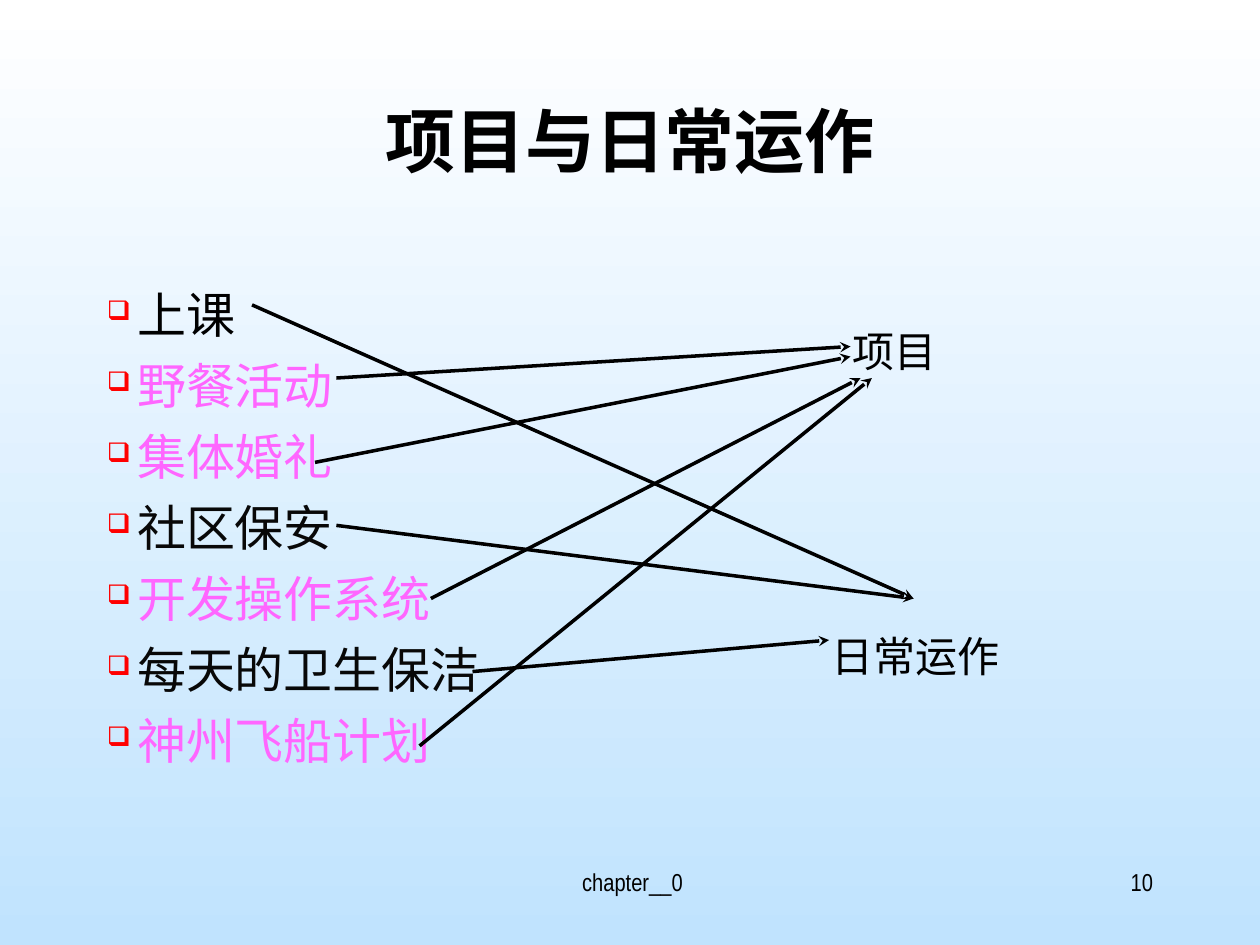
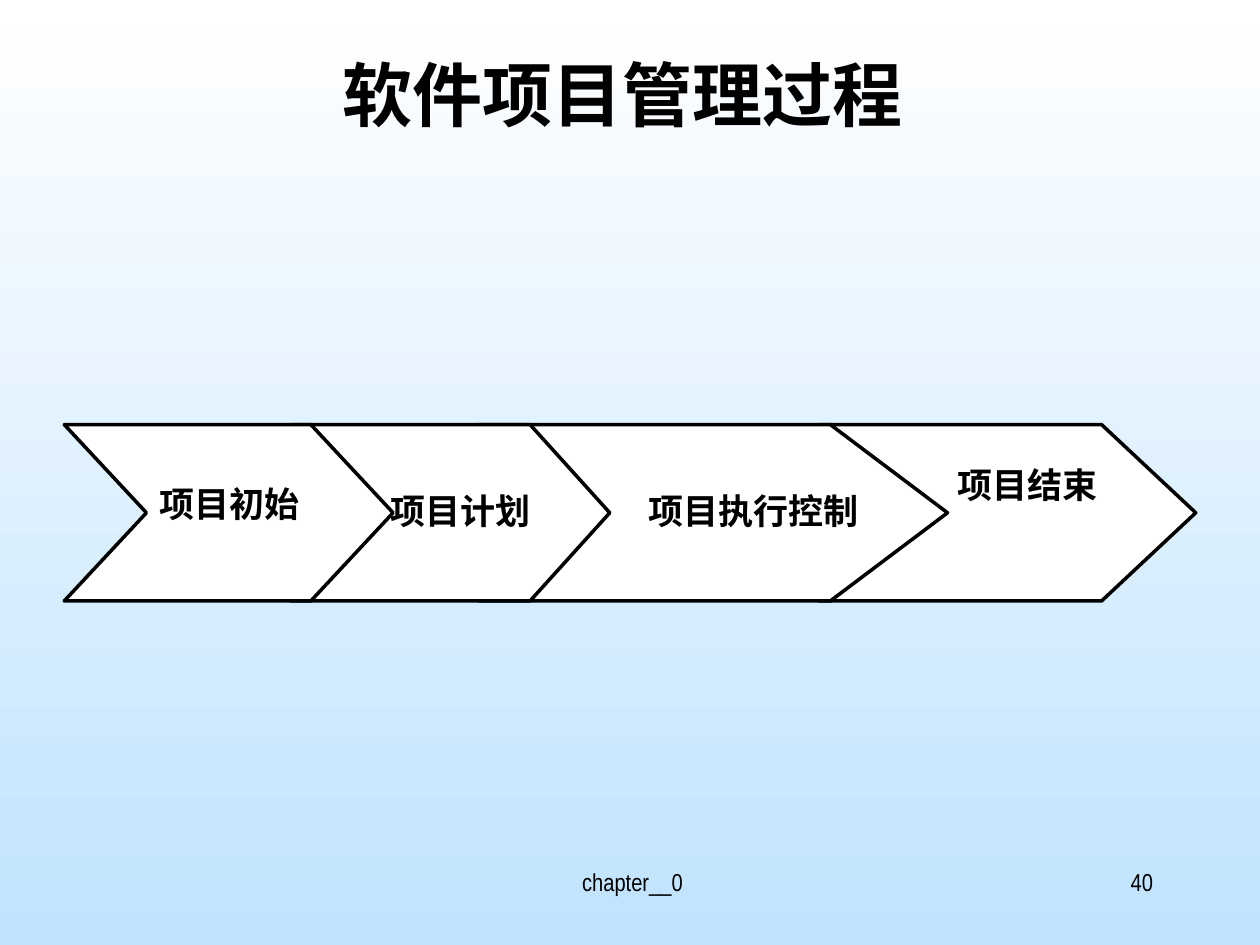
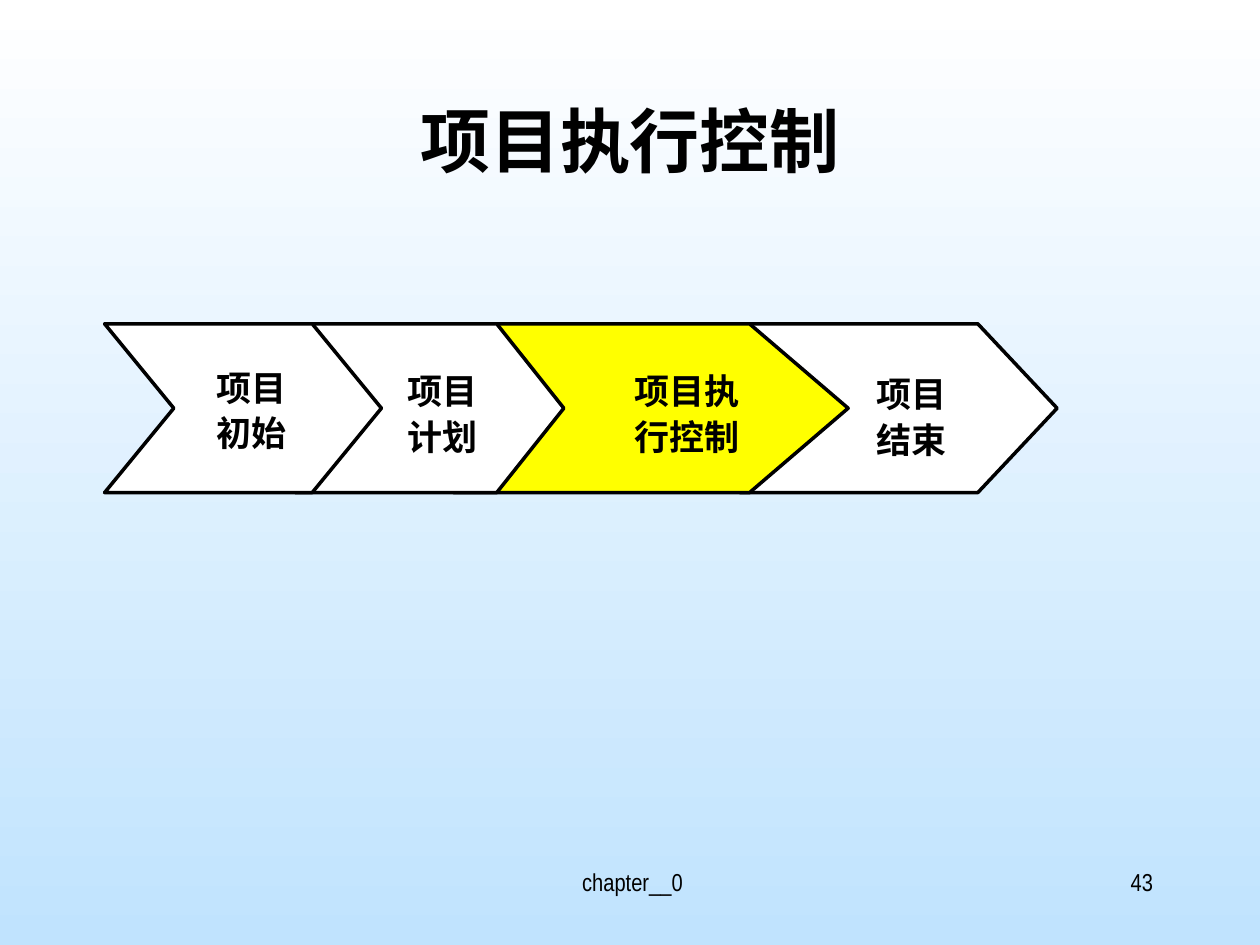
from collections import namedtuple
from dataclasses import dataclass

from lxml import etree
from pptx import Presentation
from pptx import util as u
from pptx.dml.color import RGBColor
from pptx.enum import shapes, text
from pptx.oxml.ns import qn

Box = namedtuple("Box", "x y w h")
Stage = namedtuple("Stage", "x w")


@dataclass(frozen=True)
class Theme:
    ink: str = "000000"
    soft_ink: str = "080808"
    pink: str = "FF66FF"
    red: str = "FF0000"
    white: str = "FFFFFF"
    sky: str = "C0E3FE"
    yellow: str = "FFFF00"
    latin: str = "Arial Narrow"
    cjk: str = "Noto Sans CJK SC"
    title: int = 40
    body: int = 28
    target: int = 24
    stage: int = 20
    footer: int = 14
    leading: float = 1.3
    line: int = 2


T = Theme()
FOOTER = Box(3.42, 6.83, 3.2, 0.5)
NUMBER = Box(7.17, 6.83, 2.08, 0.5)
TITLE = Box(0.75, 0.67, 8.5, 1.25)
PROCESS_WIDTH = 8.98
STAGES = [Stage(0, 2.61), Stage(1.8, 2.53), Stage(3.29, 3.72), Stage(5.99, 2.99)]


def rgb(color):
    return RGBColor.from_string(color)


def inches(box):
    return [u.Inches(v) for v in box]


def add_run(p, words, size, color=T.ink, bold=False, latin=T.latin):
    r = p.add_run()
    r.text = words
    r.font.size = u.Pt(size)
    r.font.bold = bold
    r.font.name = latin
    r.font.color.rgb = rgb(color)
    etree.SubElement(r.font._element, qn("a:ea"), typeface=T.cjk)


def set_leading(p, size):
    p.line_spacing = u.Pt(round(size * T.leading, 1))


def add_text(s, box, words, size, align=text.PP_ALIGN.LEFT):
    tf = s.shapes.add_textbox(*inches(box)).text_frame
    tf.word_wrap = True
    p = tf.paragraphs[0]
    p.alignment = align
    add_run(p, words, size)
    return p


def add_bullet(p):
    pPr = p._p.get_or_add_pPr()
    pPr.set("marL", str(u.Inches(0.24)))
    pPr.set("indent", str(u.Inches(-0.24)))
    color = etree.SubElement(pPr, qn("a:buClr"))
    etree.SubElement(color, qn("a:srgbClr"), val=T.red)
    etree.SubElement(pPr, qn("a:buSzPct"), val="55000")
    etree.SubElement(pPr, qn("a:buChar"), char="❑")


def add_list(s, box, items):
    tf = s.shapes.add_textbox(*inches(box)).text_frame
    tf.word_wrap = True
    for i, (words, color) in enumerate(items):
        p = tf.add_paragraph() if i else tf.paragraphs[0]
        add_bullet(p)
        set_leading(p, T.body)
        if i:
            p.space_before = u.Pt(4.2)
        add_run(p, words, T.body, color, latin=T.cjk)


def add_arrow(s, start, end):
    sp = s.shapes.add_connector(shapes.MSO_CONNECTOR.STRAIGHT, *inches(start + end))
    sp.line.color.rgb = rgb(T.ink)
    sp.line.width = u.Pt(T.line)
    spPr = sp._element.spPr
    etree.SubElement(spPr.find(qn("a:ln")), qn("a:tailEnd"), type="stealth")
    etree.SubElement(spPr, qn("a:effectLst"))


def add_stage(s, box, lines, shift, fill):
    sp = s.shapes.add_shape(shapes.MSO_SHAPE.CHEVRON, *inches(box))
    sp.adjustments[0] = 0.25 * box.w / box.h
    sp.shadow.inherit = False
    sp.fill.solid()
    sp.fill.fore_color.rgb = rgb(fill)
    sp.line.color.rgb = rgb(T.ink)
    sp.line.width = u.Pt(T.line)
    tf = sp.text_frame
    tf.word_wrap = False
    tf.vertical_anchor = text.MSO_ANCHOR.MIDDLE
    dx, dy = shift
    tf.margin_left, tf.margin_right = u.Inches(max(0, 2 * dx)), u.Inches(max(0, -2 * dx))
    tf.margin_top, tf.margin_bottom = u.Inches(max(0, 2 * dy)), u.Inches(max(0, -2 * dy))
    for i, words in enumerate(lines):
        p = tf.add_paragraph() if i else tf.paragraphs[0]
        p.alignment = text.PP_ALIGN.CENTER
        set_leading(p, T.stage)
        add_run(p, words, T.stage, bold=True)


def add_process(s, box, labels, shifts, active=None):
    scale = box.w / PROCESS_WIDTH
    for i in reversed(range(len(STAGES))):
        stage = Box(box.x + STAGES[i].x * scale, box.y, STAGES[i].w * scale, box.h)
        add_stage(s, stage, labels[i], shifts[i], T.yellow if i == active else T.white)


def add_slide(prs, title, number, box=TITLE):
    s = prs.slides.add_slide(prs.slide_layouts[5])
    sp = s.shapes.title
    sp.left, sp.top, sp.width, sp.height = inches(box)
    tf = sp.text_frame
    tf.word_wrap = True
    tf.auto_size = text.MSO_AUTO_SIZE.NONE
    tf.vertical_anchor = text.MSO_ANCHOR.TOP
    p = tf.paragraphs[0]
    p.alignment = text.PP_ALIGN.CENTER
    set_leading(p, T.title)
    add_run(p, title, T.title, bold=True, latin=T.cjk)
    add_text(s, FOOTER, "chapter__0", T.footer, text.PP_ALIGN.CENTER)
    add_text(s, NUMBER, str(number), T.footer, text.PP_ALIGN.RIGHT)
    return s


def set_background(prs):
    fill = prs.slide_master.background.fill
    fill.gradient()
    fill.gradient_angle = 270
    for stop, color in zip(fill.gradient_stops, (T.white, T.sky)):
        stop.color.rgb = rgb(color)


def matching_slide(prs):
    s = add_slide(prs, "项目与日常运作", 10)
    add_list(s, Box(0.75, 2.17, 4.17, 4.5), [
        ("上课", T.ink),
        ("野餐活动", T.pink),
        ("集体婚礼", T.pink),
        ("社区保安", T.soft_ink),
        ("开发操作系统", T.pink),
        ("每天的卫生保洁", T.soft_ink),
        ("神州飞船计划", T.pink),
    ])
    for x, y, words in ((6.5, 4.92, "日常运作"), (6.67, 2.5, "项目")):
        set_leading(add_text(s, Box(x, y, 2.17, 0.5), words, T.target), T.target)
    for start, end in (
        ((3.33, 5.92), (6.92, 3)),
        ((3.42, 4.75), (6.83, 3)),
        ((2.67, 3), (6.75, 2.75)),
        ((2.5, 3.67), (6.75, 2.83)),
        ((2, 2.42), (7.25, 4.75)),
        ((2.67, 4.17), (7.25, 4.75)),
        ((3.75, 5.33), (6.58, 5.08)),
    ):
        add_arrow(s, start, end)


def process_slide(prs):
    s = add_slide(prs, "软件项目管理过程", 40, Box(0.44, 0.3, 9, 1.25))
    labels = [["项目初始"], ["项目计划"], ["项目执行控制"], ["项目结束"]]
    shifts = [(0.01, -0.09), (0.08, -0.03), (0.32, -0.03), (0.16, -0.24)]
    add_process(s, Box(0.51, 3.37, 8.98, 1.4), labels, shifts)


def control_slide(prs):
    s = add_slide(prs, "项目执行控制", 43)
    labels = [["项目", "初始"], ["项目", "计划"], ["项目执", "行控制"], ["项目", "结束"]]
    shifts = [(0.07, 0), (0.1, 0.03), (0.29, 0.03), (0.1, 0.05)]
    add_process(s, Box(0.83, 2.57, 7.56, 1.34), labels, shifts, active=2)


def main():
    prs = Presentation()
    prs.slide_width, prs.slide_height = u.Inches(10), u.Inches(7.5)
    set_background(prs)
    matching_slide(prs)
    process_slide(prs)
    control_slide(prs)
    prs.save("out.pptx")


if __name__ == "__main__":
    main()
